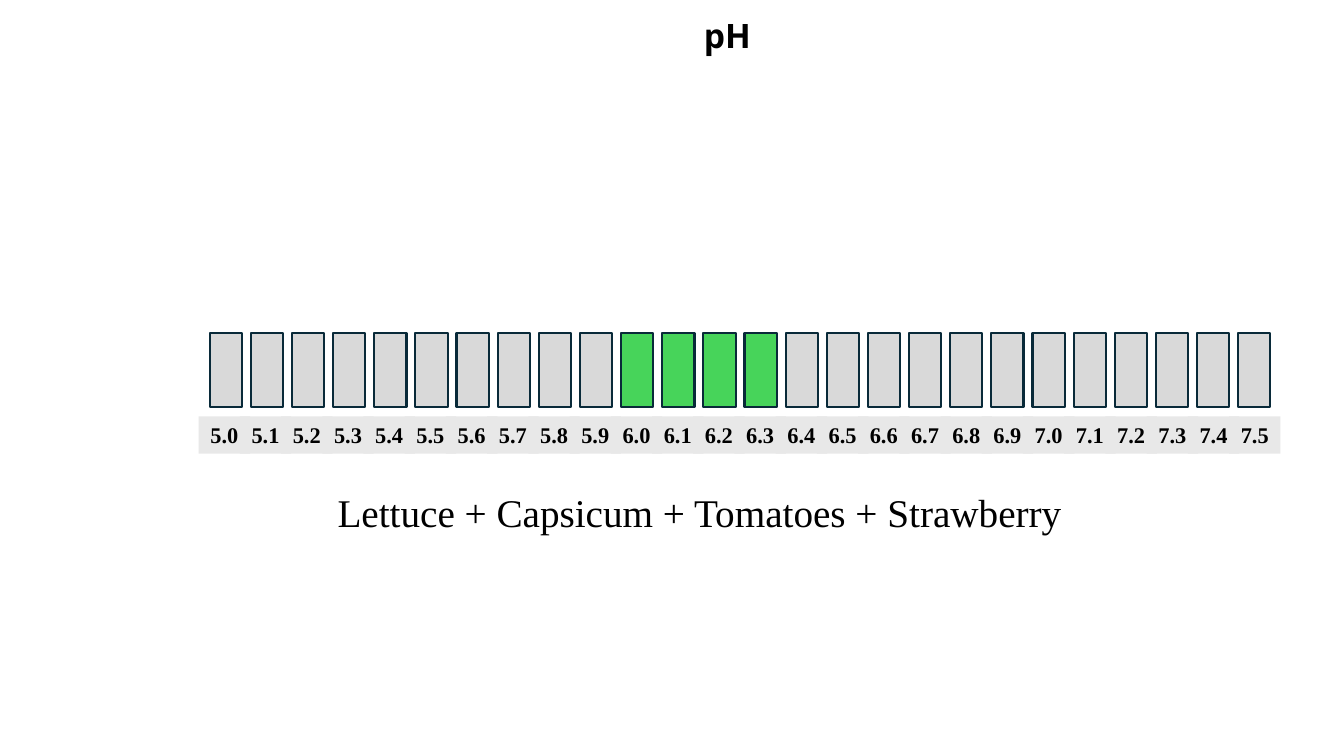
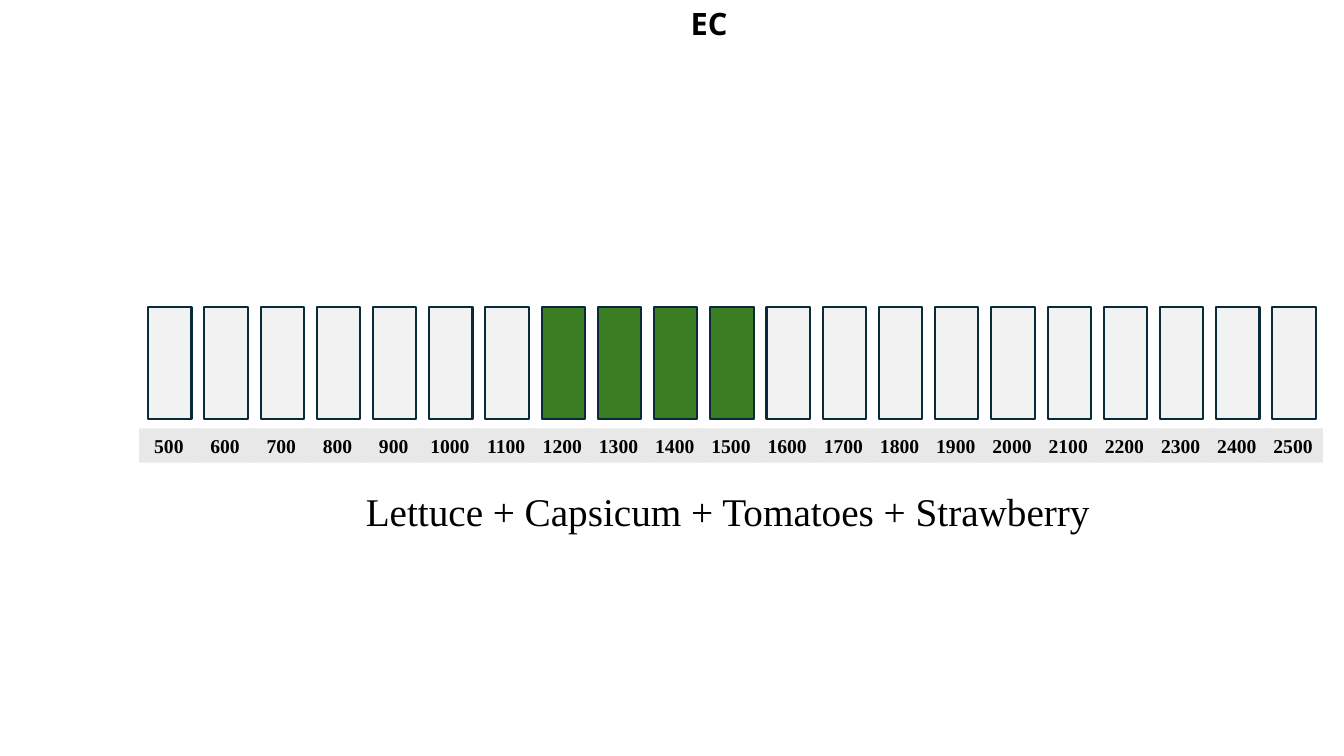
import pptx
import pptx.util
import pptx.dml.color
import pptx.enum.shapes
import pptx.enum.text

Inches = pptx.util.Inches
Align = pptx.enum.text.PP_ALIGN

COLORS = {
    "text": "000000",
    "outline": "092A39",
    "label": "E8E8E8",
    "ph_idle": "D9D9D9",
    "ph_target": "47D45A",
    "ec_idle": "F2F2F2",
    "ec_target": "3B7D23",
}
CROPS = "Lettuce + Capsicum + Tomatoes + Strawberry"

# Boxes are (left, top, width, height); rows run from the first left to last_left.
SCALES = [
    {
        "title": "pH", "title_box": (6.88, 0.1, 0.71, 0.5), "title_size": 24,
        "values": [f"{tenth / 10:.1f}" for tenth in range(50, 76)],
        "target": ("6.0", "6.1", "6.2", "6.3"),
        "idle_color": "ph_idle", "target_color": "ph_target",
        "bar": (2.08, 3.3, 0.32, 0.74), "last_bar": 12.28,
        "label": (1.97, 4.13, 0.51, 0.37), "last_label": 12.19, "label_size": 16,
        "crops_box": (3.25, 4.8, 7.45, 0.57),
    },
    {
        "title": "EC", "title_box": (6.75, 0, 0.61, 0.47), "title_size": 22,
        "values": [str(value) for value in range(500, 2600, 100)],
        "target": ("1200", "1300", "1400", "1500"),
        "idle_color": "ec_idle", "target_color": "ec_target",
        "bar": (1.47, 3.05, 0.43, 1.11), "last_bar": 12.62,
        "label": (1.38, 4.25, 0.59, 0.34), "last_label": 12.53, "label_size": 14,
        "crops_box": (3.53, 4.79, 7.45, 0.57),
    },
]


def write(box, text, size, font="Times New Roman", bold=False, align=Align.LEFT,
          anchor=pptx.enum.text.MSO_ANCHOR.TOP):
    frame = box.text_frame
    frame.text = text
    frame_format = {"word_wrap": False, "vertical_anchor": anchor,
                    "auto_size": pptx.enum.text.MSO_AUTO_SIZE.NONE}
    for name, value in frame_format.items():
        setattr(frame, name, value)
    para = frame.paragraphs[0]
    para.alignment = align
    span = para.runs[0]
    for name, value in {"name": font, "size": pptx.util.Pt(size), "bold": bold}.items():
        setattr(span.font, name, value)
    span.font.color.rgb = pptx.dml.color.RGBColor.from_string(COLORS["text"])


def add_cell(page, first_box, last_left, index, count, color):
    """Add one rectangle of an evenly spaced row."""
    left, top, width, height = first_box
    left += index * (last_left - left) / (count - 1)
    cell = page.shapes.add_shape(pptx.enum.shapes.MSO_SHAPE.RECTANGLE,
                                 *map(Inches, (left, top, width, height)))
    cell.shadow.inherit = False
    cell.fill.solid()
    cell.fill.fore_color.rgb = pptx.dml.color.RGBColor.from_string(COLORS[color])
    return cell


deck = pptx.Presentation()
deck.slide_width = Inches(13.33)
deck.slide_height = Inches(7.5)
title_only = deck.slide_layouts[5]

for scale in SCALES:
    page = deck.slides.add_slide(title_only)
    title = page.shapes.title
    for name, value in zip(("left", "top", "width", "height"), scale["title_box"]):
        setattr(title, name, Inches(value))
    write(title, scale["title"], scale["title_size"], font="Noto Sans", bold=True)

    count = len(scale["values"])
    for index, value in enumerate(scale["values"]):
        color = scale["target_color" if value in scale["target"] else "idle_color"]
        bar = add_cell(page, scale["bar"], scale["last_bar"], index, count, color)
        bar.line.color.rgb = pptx.dml.color.RGBColor.from_string(COLORS["outline"])
        bar.line.width = pptx.util.Pt(1.5)

        label = add_cell(page, scale["label"], scale["last_label"], index, count, "label")
        label.line.fill.background()
        write(label, value, scale["label_size"], bold=True, align=Align.CENTER,
              anchor=pptx.enum.text.MSO_ANCHOR.MIDDLE)

    crops = page.shapes.add_textbox(*map(Inches, scale["crops_box"]))
    write(crops, CROPS, 28)

deck.save("out.pptx")
